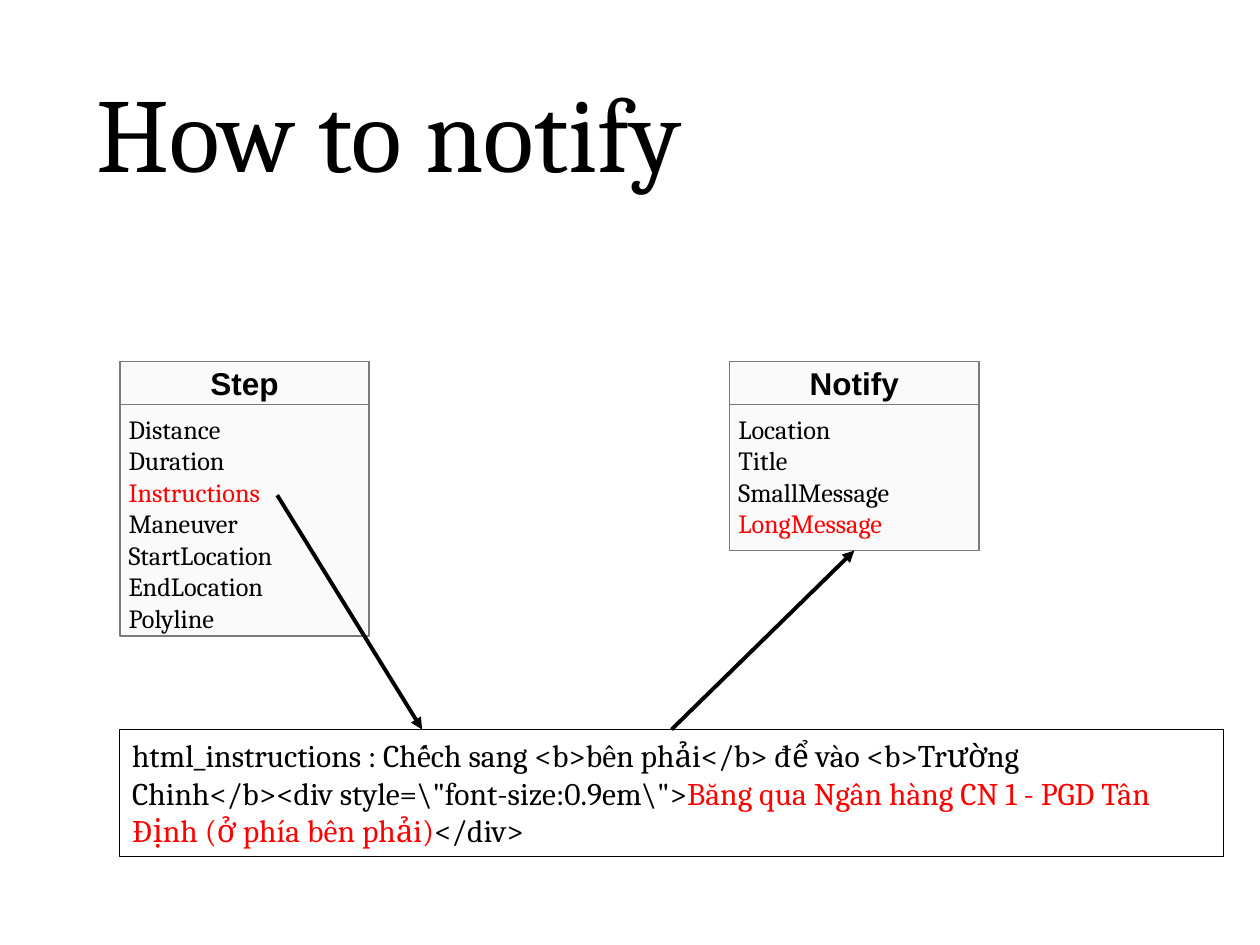
from lxml.etree import SubElement
from pptx import Presentation
from pptx.dml.color import RGBColor
from pptx.enum.shapes import MSO_CONNECTOR, MSO_SHAPE
from pptx.enum.text import MSO_ANCHOR, PP_ALIGN
from pptx.oxml.ns import qn
from pptx.util import Inches, Pt

BLACK, RED, GREY, PALE = "000000", "FF0000", "7A7A7A", "FAFAFA"


def color(hex_string):
    return RGBColor.from_string(hex_string)


def write(frame, lines, font, size, bold=False, align=PP_ALIGN.LEFT):
    """Fill a frame with paragraphs, each a list of (text, colour) runs."""
    frame.word_wrap = True
    for number, line in enumerate(lines):
        paragraph = frame.paragraphs[0] if number == 0 else frame.add_paragraph()
        paragraph.alignment = align
        for text, hex_string in line:
            run = paragraph.add_run()
            run.text = text
            for name, value in dict(name=font, size=Pt(size), bold=bold).items():
                setattr(run.font, name, value)
            run.font.color.rgb = color(hex_string)


prs = Presentation()
prs.slide_width, prs.slide_height = Inches(10), Inches(7.5)
slide = prs.slides.add_slide(prs.slide_layouts[6])

title = slide.shapes.add_textbox(Inches(0.67), Inches(0.47), Inches(9), Inches(1.25))
title.text_frame.vertical_anchor = MSO_ANCHOR.MIDDLE
write(title.text_frame, [[("How to notify", BLACK)]], "Cambria", 60)
title.text_frame.paragraphs[0].line_spacing = 0.9

# Class boxes: a list of fields under a heading
classes = [
    ("Step", 0.95, 1.84, ["Distance", "Duration", "Instructions", "Maneuver",
                          "StartLocation", "EndLocation", "Polyline"]),
    ("Notify", 5.79, 1.16, ["Location", "Title", "SmallMessage", "LongMessage"]),
]
linked_fields = {"Instructions", "LongMessage"}
heading_top, heading_height, class_width = 2.87, 0.34, 1.98
field_boxes = {}

for class_name, left, fields_height, fields in classes:
    group = slide.shapes.add_group_shape()
    field_box = group.shapes.add_shape(
        MSO_SHAPE.RECTANGLE, Inches(left), Inches(heading_top + heading_height),
        Inches(class_width), Inches(fields_height))
    heading = group.shapes.add_shape(
        MSO_SHAPE.RECTANGLE, Inches(left), Inches(heading_top),
        Inches(class_width), Inches(heading_height))
    for part, anchor in ((field_box, MSO_ANCHOR.TOP), (heading, MSO_ANCHOR.MIDDLE)):
        part.shadow.inherit = False
        part.fill.solid()
        part.fill.fore_color.rgb = color(PALE)
        part.line.color.rgb = color(GREY)
        part.line.width = Pt(1)
        part.text_frame.vertical_anchor = anchor
        for side in ("left", "top", "right", "bottom"):
            setattr(part.text_frame, f"margin_{side}", Inches(0.07))
    field_lines = [[(field, RED if field in linked_fields else BLACK)] for field in fields]
    write(field_box.text_frame, field_lines, "Cambria", 15)
    write(heading.text_frame, [[(class_name, BLACK)]], "Arial", 18, True, PP_ALIGN.CENTER)
    field_boxes[class_name] = field_box

message = slide.shapes.add_shape(
    MSO_SHAPE.RECTANGLE, Inches(0.95), Inches(5.79), Inches(8.76), Inches(1.01))
message.shadow.inherit = False
message.fill.background()
message.line.color.rgb = color(BLACK)
message.line.width = Pt(0.75)
message.text_frame.vertical_anchor = MSO_ANCHOR.TOP
write(message.text_frame, [[
    ('html_instructions : Chếch sang <b>bên phải</b> để vào '
     '<b>Trường Chinh</b><div style=\\"font-size:0.9em\\">', BLACK),
    ("Băng qua Ngân hàng CN 1 - PGD Tân Định (ở phía bên phải)", RED),
    ("</div>", BLACK),
]], "Cambria", 18)

# Arrows: instructions to message, message to notification
arrows = []
for x1, y1, x2, y2 in ((2.2, 3.93, 3.35, 5.79), (5.33, 5.79, 6.78, 4.37)):
    arrow = slide.shapes.add_connector(
        MSO_CONNECTOR.STRAIGHT, Inches(x1), Inches(y1), Inches(x2), Inches(y2))
    arrow.line.color.rgb = color(BLACK)
    arrow.line.width = Pt(2.25)
    SubElement(arrow.line._get_or_add_ln(), qn("a:tailEnd"), type="triangle")
    SubElement(arrow._element.spPr, qn("a:effectLst"))
    arrows.append(arrow)
arrows[1].begin_connect(message, 0)
arrows[1].end_connect(field_boxes["Notify"], 2)

prs.save("out.pptx")
